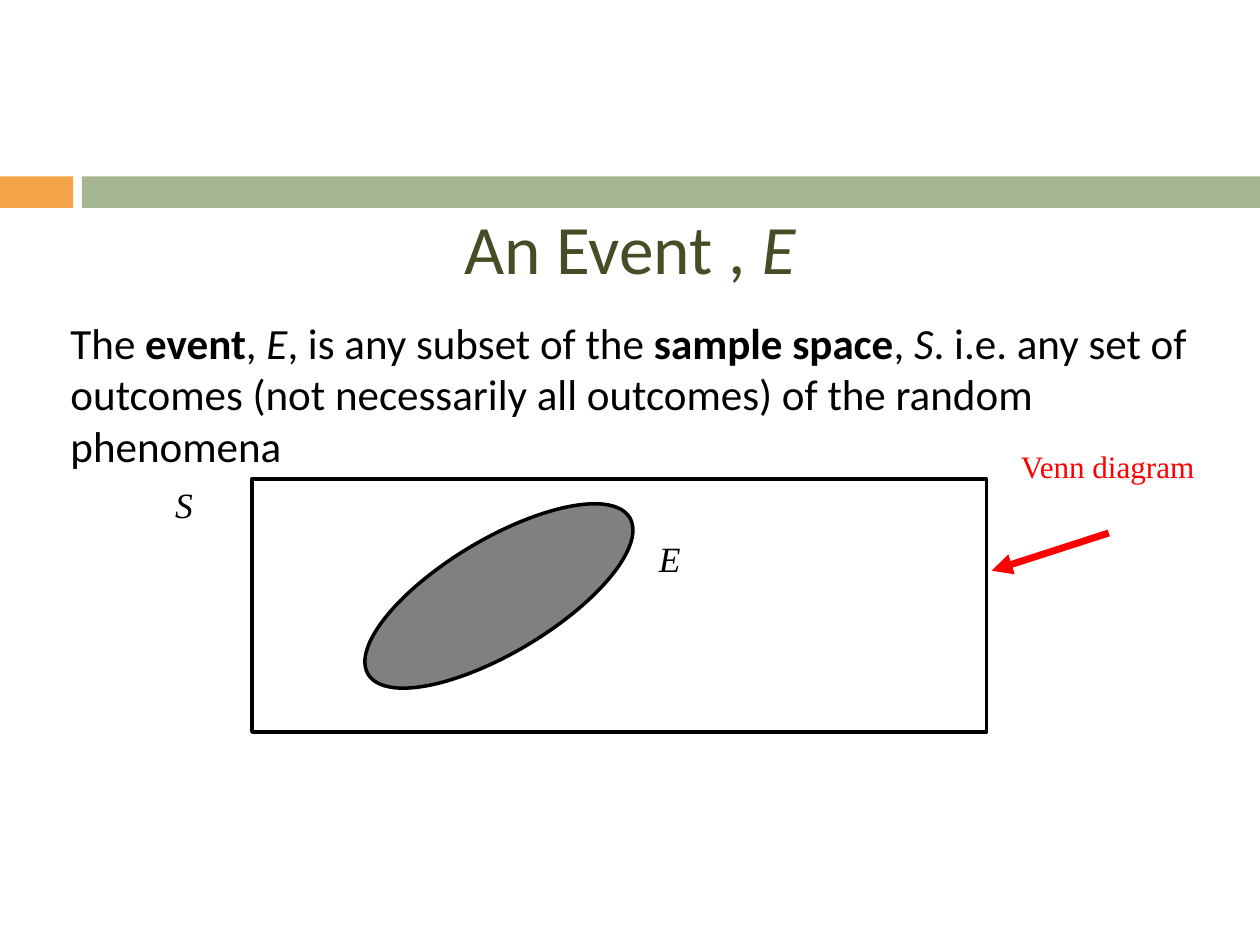
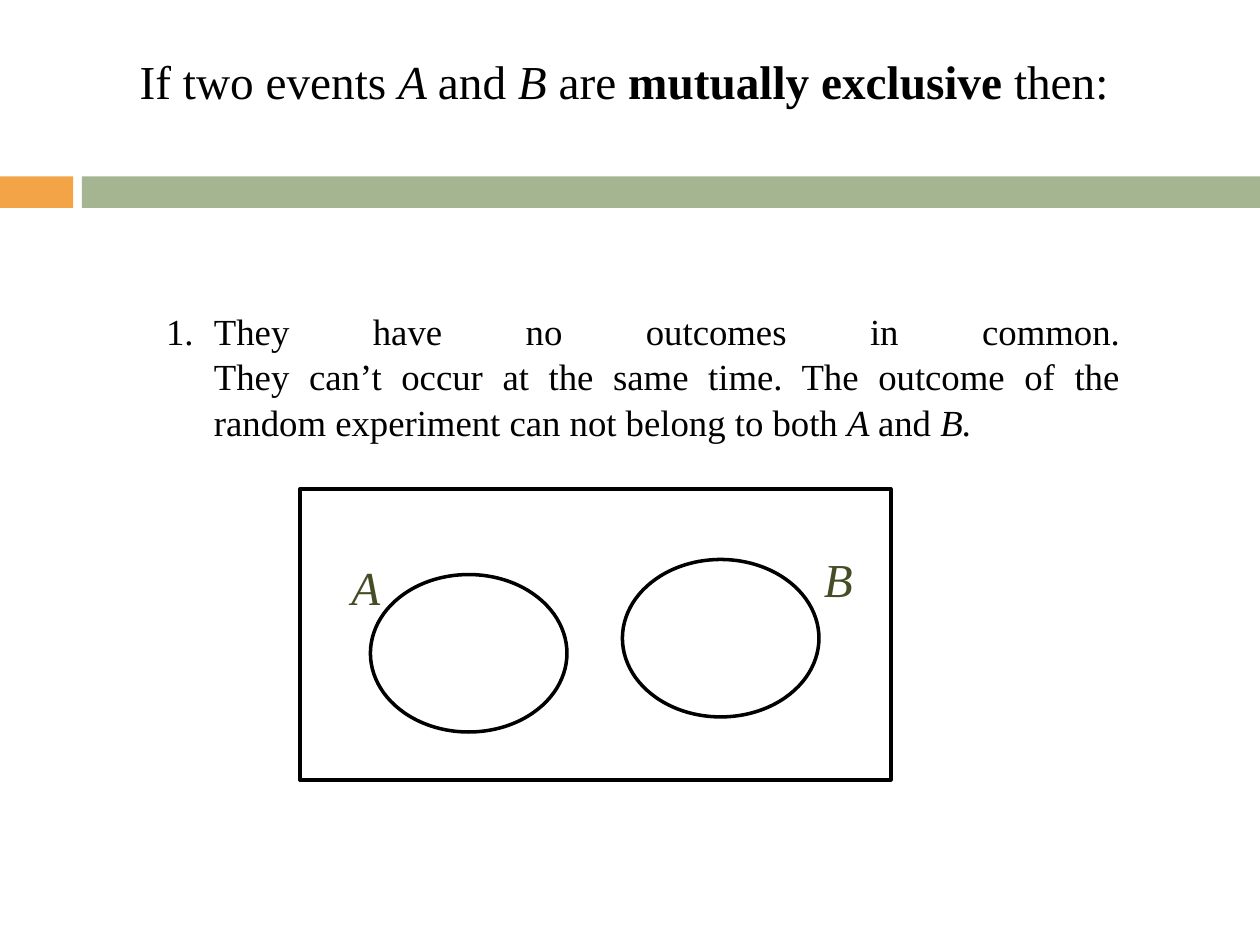
from pptx import Presentation
from pptx.dml.color import RGBColor
from pptx.enum.shapes import MSO_CONNECTOR, MSO_SHAPE
from pptx.enum.text import MSO_ANCHOR, PP_ALIGN
from pptx.oxml.ns import qn
from pptx.util import Pt
from lxml.etree import SubElement

PX = 9144
SLIDE_WIDTH, SLIDE_HEIGHT = 1000, 750
BAND_TOP, BAND_HEIGHT, BAND_SPLIT = 140, 25, 65

ORANGE = RGBColor(0xF3, 0xA4, 0x47)
SAGE = RGBColor(0xA5, 0xB5, 0x92)
OLIVE = RGBColor(0x44, 0x4D, 0x26)
GREY = RGBColor(0x80, 0x80, 0x80)
RED = RGBColor(0xFF, 0x00, 0x00)
BLACK = RGBColor(0x00, 0x00, 0x00)

SANS = "Calibri"
SERIF = "Times New Roman"


def px(*lengths):
    """Turn px lengths into EMU."""
    return [length * PX for length in lengths]


def add_text(slide, box, runs, size, font=SERIF, color=BLACK, align=PP_ALIGN.LEFT,
             anchor=MSO_ANCHOR.TOP, inset=(6, 3), number=None, spacing=None):
    """Add a text box from (text, style) runs, where style holds b and i."""
    frame = slide.shapes.add_textbox(*px(*box)).text_frame
    frame.word_wrap = True
    frame.vertical_anchor = anchor
    frame.margin_left = frame.margin_right = inset[0] * PX
    frame.margin_top = frame.margin_bottom = inset[1] * PX
    paragraph = frame.paragraphs[0]
    if number:
        set_numbering(paragraph, number)
    paragraph.alignment = align
    if spacing:
        paragraph.line_spacing = spacing
    for text, style in runs:
        for index, line in enumerate(text.split("\n")):
            if index:
                paragraph.add_line_break()
            run = paragraph.add_run()
            run.text = line
            run.font.name = font
            run.font.size = Pt(size)
            run.font.color.rgb = color
            run.font.bold = "b" in style
            run.font.italic = "i" in style


def set_numbering(paragraph, indent):
    """Give a paragraph automatic numbers in a hanging indent."""
    properties = paragraph._p.get_or_add_pPr()
    properties.set("marL", str(indent * PX))
    properties.set("indent", str(-indent * PX))
    SubElement(properties, qn("a:buFont"), typeface=SERIF)
    SubElement(properties, qn("a:buAutoNum"), type="arabicPeriod")


def add_figure(slide, kind, box, fill=None, line=None, rotation=0):
    """Add a preset shape with an optional fill and outline."""
    figure = slide.shapes.add_shape(kind, *px(*box))
    figure.shadow.inherit = False
    figure.rotation = rotation
    if fill is None:
        figure.fill.background()
    else:
        figure.fill.solid()
        figure.fill.fore_color.rgb = fill
    if line is None:
        figure.line.fill.background()
    else:
        figure.line.color.rgb = line
        figure.line.width = Pt(2)


def add_arrow(slide, start, end, color, width):
    """Add a straight arrow that points at end."""
    arrow = slide.shapes.add_connector(MSO_CONNECTOR.STRAIGHT, *px(*start, *end))
    arrow.line.color.rgb = color
    arrow.line.width = Pt(width)
    SubElement(arrow.line._get_or_add_ln(), qn("a:tailEnd"), type="triangle")
    SubElement(arrow._element.spPr, qn("a:effectLst"))


def add_banded_slide(deck):
    """Add a blank slide with the two-colour band."""
    slide = deck.slides.add_slide(deck.slide_layouts[6])
    add_figure(slide, MSO_SHAPE.RECTANGLE, (0, BAND_TOP, 58, BAND_HEIGHT), fill=ORANGE)
    add_figure(slide, MSO_SHAPE.RECTANGLE,
               (BAND_SPLIT, BAND_TOP, SLIDE_WIDTH - BAND_SPLIT, BAND_HEIGHT), fill=SAGE)
    return slide


def build_event_slide(deck):
    """Define an event and show it inside the sample space."""
    slide = add_banded_slide(deck)
    add_text(slide, (50, 156, 900, 79), [("An Event , ", ""), ("E", "i")], 39.6,
             font=SANS, color=OLIVE, align=PP_ALIGN.CENTER, anchor=MSO_ANCHOR.MIDDLE)
    definition = [
        ("The ", ""), ("event", "b"), (", ", ""), ("E", "i"),
        (", is any subset of the ", ""), ("sample space", "b"), (", ", ""), ("S", "i"),
        (". i.e. any set of outcomes (not necessarily all outcomes) "
         "of the random phenomena", ""),
    ]
    add_text(slide, (50, 248, 900, 111), definition, 24.6, font=SANS)
    add_figure(slide, MSO_SHAPE.RECTANGLE, (200, 380, 583, 201), line=BLACK)
    add_figure(slide, MSO_SHAPE.OVAL, (275, 428, 242, 90), fill=GREY, line=BLACK,
               rotation=329.1)
    for name, left, top in (("S", 133, 380), ("E", 517, 423)):
        add_text(slide, (left, top, 92, 37), [(name, "i")], 20.3)
    add_text(slide, (797, 352, 164, 36), [("Venn diagram", "")], 17.8, color=RED,
             align=PP_ALIGN.CENTER)
    add_arrow(slide, (880, 423), (787, 453), RED, 4)


def build_exclusive_slide(deck):
    """Show two mutually exclusive events as separate ovals."""
    slide = add_banded_slide(deck)
    centred = {"anchor": MSO_ANCHOR.MIDDLE, "inset": (10, 5)}
    heading = [("If two events ", ""), ("A ", "i"), ("and ", ""), ("B ", "i"),
               ("are ", ""), ("mutually exclusive", "b"), (" then:", "")]
    add_text(slide, (101, 17, 798, 94), heading, 27, **centred)
    add_figure(slide, MSO_SHAPE.RECTANGLE, (238, 388, 469, 231), line=BLACK)
    for name, oval, label in (("B", (494, 444), (644, 425)),
                              ("A", (294, 456), (269, 431))):
        add_figure(slide, MSO_SHAPE.OVAL, (*oval, 156, 125), line=BLACK)
        add_text(slide, (*label, 81, 69), [(name, "i")], 27, color=OLIVE, **centred)
    consequence = [
        ("They have no outcomes in common.\nThey can’t occur at the same time. "
         "The outcome of the random experiment can not belong to both", ""),
        (" A ", "i"), ("and ", ""), ("B.", "i"),
    ]
    add_text(slide, (122, 221, 777, 154), consequence, 21, align=PP_ALIGN.JUSTIFY,
             number=38, spacing=1.04, **centred)


def main():
    """Build and save the deck."""
    deck = Presentation()
    deck.slide_width, deck.slide_height = px(SLIDE_WIDTH, SLIDE_HEIGHT)
    build_event_slide(deck)
    build_exclusive_slide(deck)
    deck.save("out.pptx")


if __name__ == "__main__":
    main()
